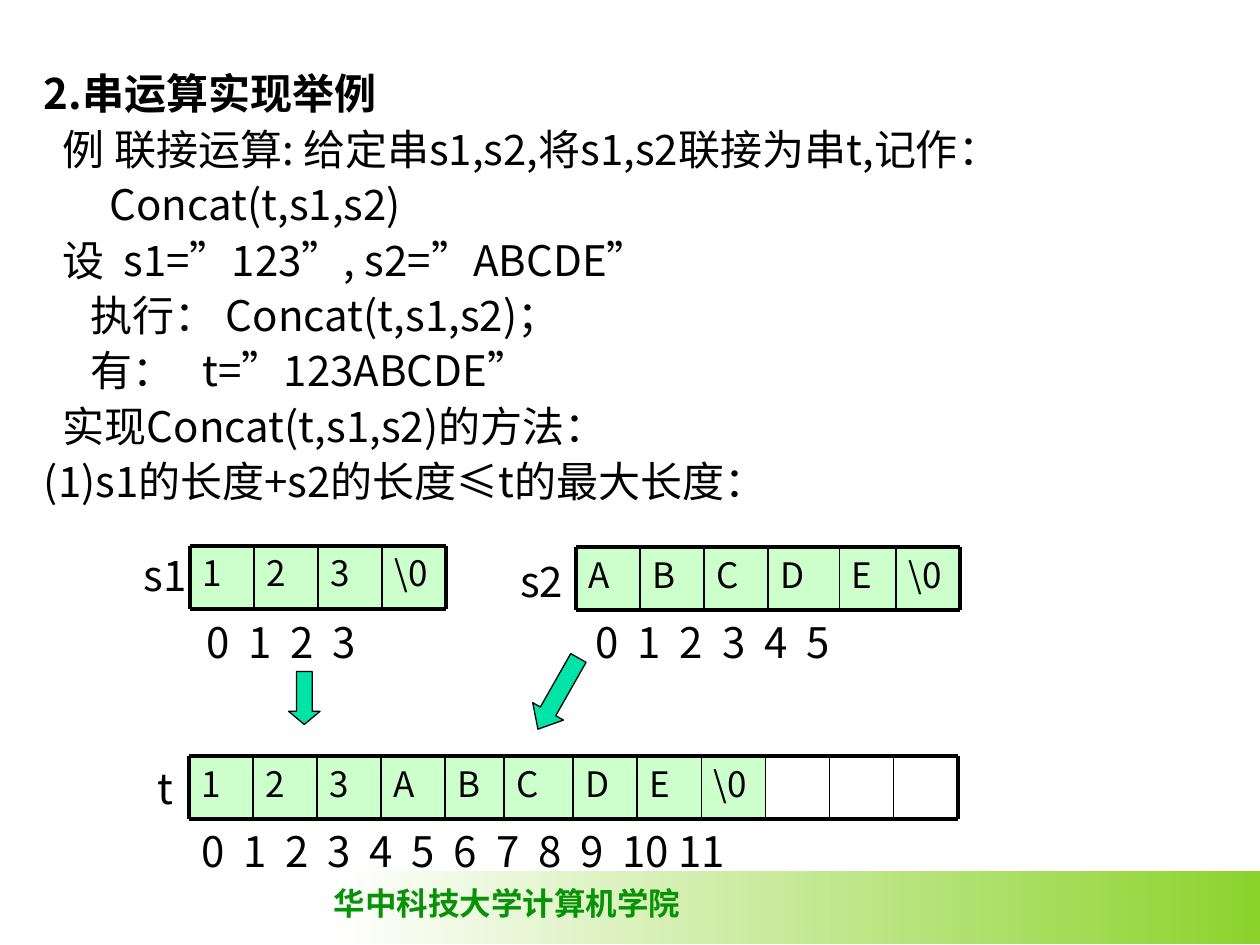
from dataclasses import dataclass
from itertools import groupby

from lxml import etree
from pptx import Presentation
from pptx.dml.color import RGBColor
from pptx.enum.shapes import MSO_CONNECTOR, MSO_SHAPE
from pptx.enum.text import MSO_ANCHOR, MSO_AUTO_SIZE
from pptx.oxml.ns import qn
from pptx.util import Inches, Pt

RECTANGLE = MSO_SHAPE.RECTANGLE
DOWN_ARROW = MSO_SHAPE.DOWN_ARROW
STRAIGHT = MSO_CONNECTOR.STRAIGHT
TOP = MSO_ANCHOR.TOP
GROW = MSO_AUTO_SIZE.SHAPE_TO_FIT_TEXT


@dataclass(frozen=True)
class Theme:
    font: str = "Noto Sans CJK SC"
    serif: str = "Times New Roman"
    ink: RGBColor = RGBColor(0x00, 0x00, 0x00)
    paper: RGBColor = RGBColor(0xFF, 0xFF, 0xFF)
    cell: RGBColor = RGBColor(0xCC, 0xFF, 0xCC)
    arrow: RGBColor = RGBColor(0x00, 0xE4, 0xA8)
    band: RGBColor = RGBColor(0x8C, 0xD3, 0x2D)
    footer: RGBColor = RGBColor(0x06, 0x94, 0x06)
    body_size: Pt = Pt(24)
    cell_size: Pt = Pt(20)
    footer_size: Pt = Pt(18)
    border: Pt = Pt(2.25)
    divider: Pt = Pt(1)
    outline: Pt = Pt(0.75)


THEME = Theme()
QUOTE = "”"
CELL_HEIGHT = 0.5

BODY = [
    (0, "2.串运算实现举例"),
    (0.15, "例 联接运算: 给定串s1,s2,将s1,s2联接为串t,记作："),
    (0.52, "Concat(t,s1,s2)"),
    (0.15, "设  s1=”123”, s2=”ABCDE”"),
    (0.37, "执行： Concat(t,s1,s2)；"),
    (0.37, "有：   t=”123ABCDE”"),
    (0.15, "实现Concat(t,s1,s2)的方法："),
    (0, "(1)s1的长度+s2的长度≤t的最大长度："),
]


def style_span(span, size, color=THEME.ink, font=THEME.font, bold=False):
    span.font.size = size
    span.font.bold = bold
    span.font.color.rgb = color
    span.font.name = font
    east_asian = etree.SubElement(span.font._element, qn("a:ea"))
    east_asian.set("typeface", THEME.font)


def indent(para, distance):
    properties = para._p.get_or_add_pPr()
    properties.set("marL", str(Inches(distance)))
    properties.set("indent", "0")


def add_box(page, left, top, width, height, wrap):
    box = page.shapes.add_textbox(
        Inches(left), Inches(top), Inches(width), Inches(height))
    box.text_frame.word_wrap = wrap
    box.text_frame.auto_size = GROW
    return box.text_frame


def add_label(page, text, left, top, width):
    para = add_box(page, left, top, width, 0.5, False).paragraphs[0]
    para.text = text
    style_span(para.runs[0], THEME.body_size)


def add_indices(page, text, left, top, width):
    para = add_box(page, left, top, width, 0.42, True).paragraphs[0]
    para.text = text
    para.line_spacing = 0.8
    indent(para, 0.17)
    style_span(para.runs[0], THEME.body_size)


def add_body(page):
    frame = add_box(page, 0.25, 0.45, 9.75, 3.62, True)
    for number, (distance, text) in enumerate(BODY):
        para = frame.add_paragraph() if number else frame.paragraphs[0]
        para.line_spacing = 1.1
        indent(para, distance)
        for quoted, letters in groupby(text, lambda letter: letter == QUOTE):
            span = para.add_run()
            span.text = "".join(letters)
            font = THEME.serif if quoted else THEME.font
            style_span(span, THEME.body_size, font=font, bold=number == 0)


def add_line(group, start, end, weight):
    line = group.shapes.add_connector(
        STRAIGHT, *(Inches(value) for value in (*start, *end)))
    line.line.color.rgb = THEME.ink
    line.line.width = weight
    etree.SubElement(line._element.spPr, qn("a:effectLst"))


def add_cell(group, text, left, top, width):
    cell = group.shapes.add_shape(
        RECTANGLE, Inches(left), Inches(top), Inches(width), Inches(CELL_HEIGHT))
    cell.shadow.inherit = False
    cell.fill.solid()
    cell.fill.fore_color.rgb = THEME.cell
    cell.line.fill.background()
    frame = cell.text_frame
    frame.vertical_anchor = TOP
    frame.text = text
    para = frame.paragraphs[0]
    para.alignment = None
    para.space_before = Pt(5)
    style_span(para.runs[0], THEME.cell_size)


def add_array(page, values, left, top, width, count, shifts):
    group = page.shapes.add_group_shape()
    edges = [left + width * step / count + shifts.get(step, 0)
             for step in range(count + 1)]
    for value, start, end in zip(values, edges, edges[1:]):
        add_cell(group, value, start, top, end - start)
    bottom = top + CELL_HEIGHT
    for level in (top, bottom):
        add_line(group, (left, level), (left + width, level), THEME.border)
    for step, edge in enumerate(edges):
        weight = THEME.border if step in (0, count) else THEME.divider
        add_line(group, (edge, top), (edge, bottom), weight)


def add_arrow(page, left, top, width, height, head, rotation=0):
    arrow = page.shapes.add_shape(
        DOWN_ARROW, Inches(left), Inches(top), Inches(width), Inches(height))
    arrow.shadow.inherit = False
    arrow.rotation = rotation
    arrow.adjustments[0] = 0.5
    arrow.adjustments[1] = head
    arrow.fill.solid()
    arrow.fill.fore_color.rgb = THEME.arrow
    arrow.line.color.rgb = THEME.ink
    arrow.line.width = THEME.outline


def add_footer(page):
    band = page.shapes.add_shape(
        RECTANGLE, Inches(2.67), Inches(6.91), Inches(7.33), Inches(0.58))
    band.shadow.inherit = False
    band.line.fill.background()
    band.fill.gradient()
    band.fill.gradient_angle = 0
    for stop, color in zip(band.fill.gradient_stops, (THEME.paper, THEME.band)):
        stop.color.rgb = color
    para = add_box(page, 2.55, 6.97, 2.95, 0.4, False).paragraphs[0]
    para.text = "华中科技大学计算机学院"
    style_span(para.runs[0], THEME.footer_size, THEME.footer, THEME.serif, True)


def main():
    deck = Presentation()
    deck.slide_width = Inches(10)
    deck.slide_height = Inches(7.5)
    page = deck.slides.add_slide(deck.slide_layouts[6])

    add_footer(page)
    first = [*"123", "\\0"]
    second = [*"ABCDE", "\\0"]
    add_array(page, second, 4.57, 4.34, 3.05, 6, {4: 0.06})
    add_indices(page, "0  1  2  3", 1.37, 4.92, 2.33)
    add_array(page, first, 1.51, 4.33, 2.03, 4, {})
    add_indices(page, "0  1  2  3  4  5", 4.46, 4.92, 3.17)
    add_indices(page, "0  1  2  3  4  5  6  7  8  9  10 11", 1.33, 6.58, 6.67)
    add_array(page, first[:-1] + second, 1.5, 6, 6.1, 12, {5: -0.04})
    add_label(page, "s1", 1.04, 4.31, 0.55)
    add_label(page, "s2", 4.03, 4.36, 0.55)
    add_label(page, "t", 1.15, 6, 0.32)
    add_arrow(page, 2.29, 5.33, 0.25, 0.42, 0.42)
    add_arrow(page, 4.29, 5.18, 0.28, 0.65, 0.58, 29.6)
    add_body(page)

    deck.save("out.pptx")


if __name__ == "__main__":
    main()
